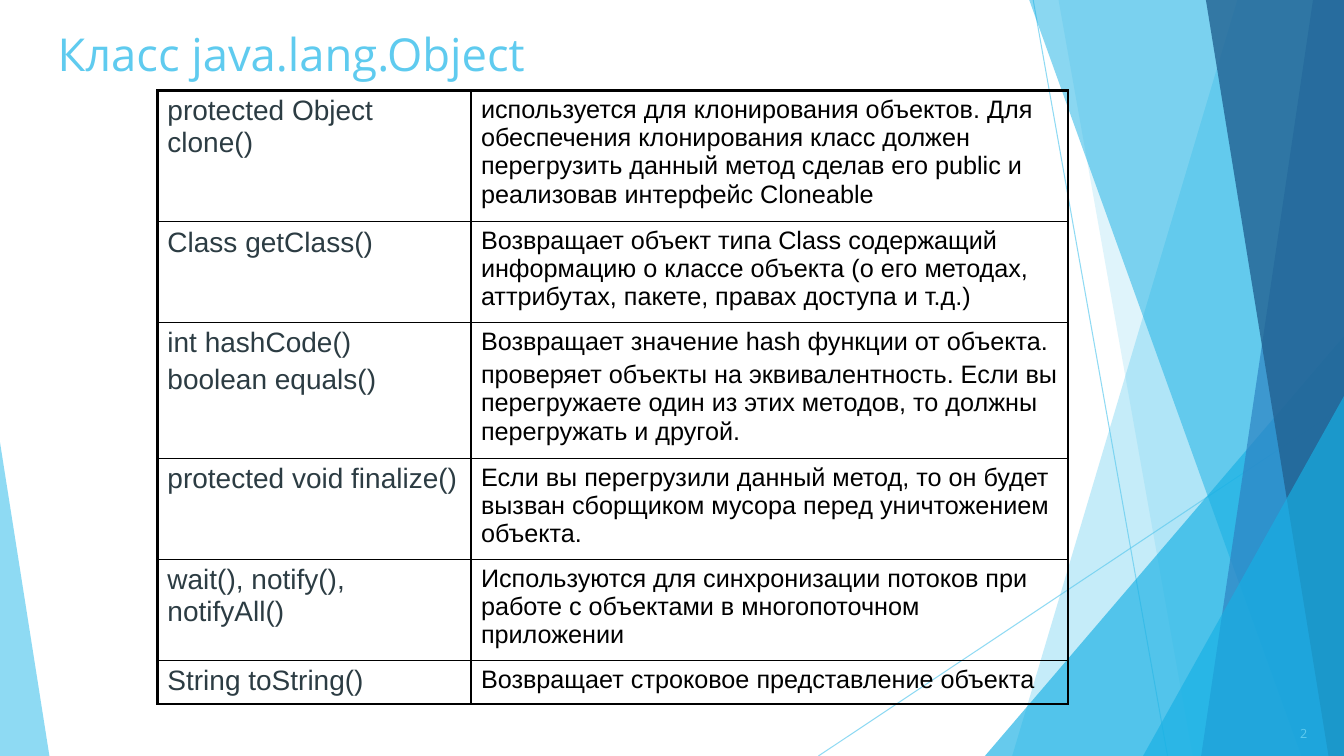
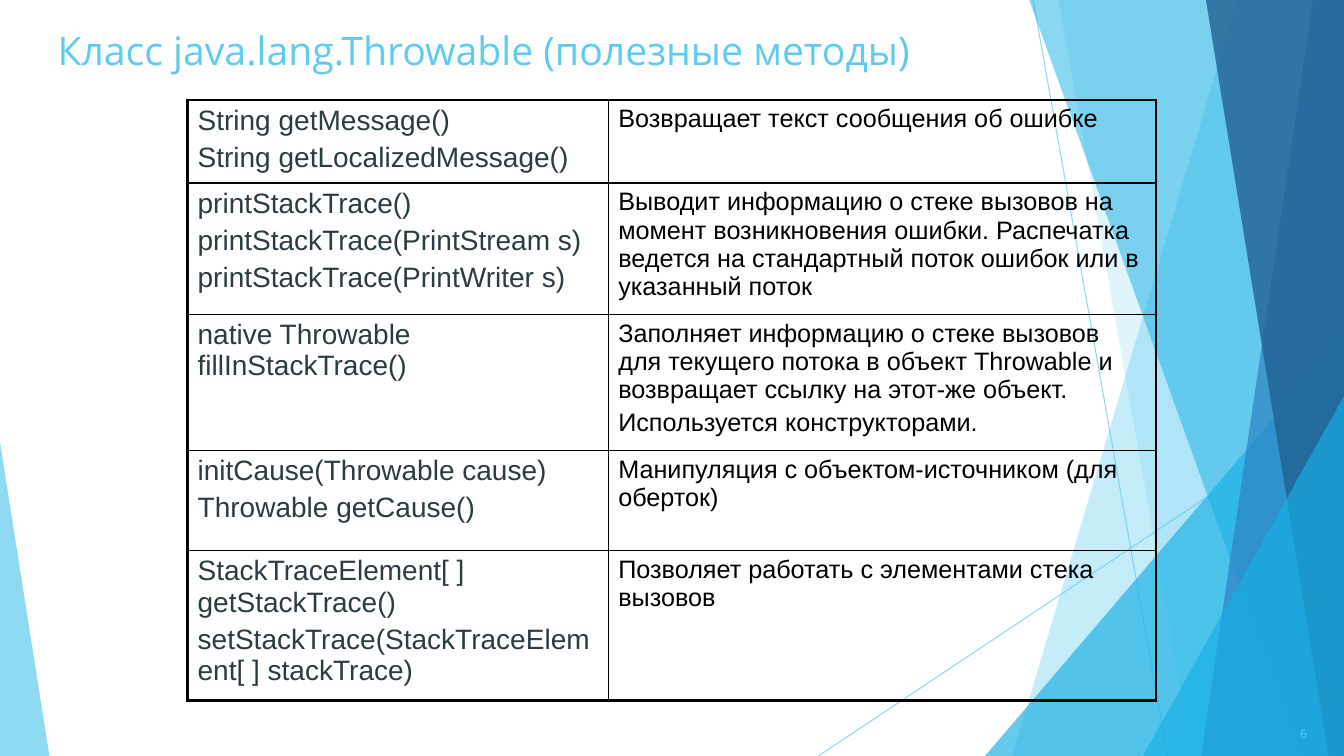
from dataclasses import dataclass

from lxml import etree
from pptx import Presentation
from pptx import util as u
from pptx.dml import color
from pptx.enum import shapes, text
from pptx.oxml import ns

Pt = u.Pt


# Theme: colours, type sizes and shared measures
@dataclass(frozen=True)
class Theme:
    sky: str = "5FCBEF"
    cyan: str = "17B0E4"
    blue: str = "2E83C3"
    navy: str = "226292"
    slate: str = "2C3C43"
    black: str = "000000"
    title_font: str = "Open Sans"
    table_font: str = "Arial"
    method_size: float = 20
    note_size: float = 18
    number_size: float = 9
    width: float = 960
    height: float = 540
    bleed: float = -0.6
    hairline: float = 0.75
    inner: float = 1
    outer: float = 2.25
    para_gap: int = 20


T = Theme()


# Descriptions of repeated elements
@dataclass(frozen=True)
class TextStyle:
    size: float
    font: str
    color: str
    align: text.PP_ALIGN = text.PP_ALIGN.LEFT
    gap: int = 0


@dataclass(frozen=True)
class Ray:
    start: tuple[float, float]
    end: tuple[float, float]


@dataclass(frozen=True)
class Blade:
    top_x: float
    bottom_x: float
    color: str
    alpha: int


@dataclass(frozen=True)
class Wedge:
    box: tuple[float, float, float, float]
    apex: float
    color: str
    alpha: int


@dataclass(frozen=True)
class Row:
    height: float
    methods: list[str]
    notes: list[str]


@dataclass(frozen=True)
class Page:
    number: str
    title: str
    title_size: float
    origin: tuple[float, float]
    columns: tuple[float, float]
    rows: list[Row]


METHOD = TextStyle(T.method_size, T.table_font, T.slate, gap=T.para_gap)
NOTE = TextStyle(T.note_size, T.table_font, T.black, gap=T.para_gap)
NUMBER = TextStyle(T.number_size, T.title_font, T.sky, text.PP_ALIGN.RIGHT)

TITLE_BOX = (34, 15, 907, 50)
NUMBER_BOX = (717, 511.5, 224, 25)

BACKDROP = [
    Ray((738, 0), (834, T.height)),
    Ray((T.width, 290), (584.6, T.height)),
    Blade(884, 723, T.sky, 36),
    Blade(756, 852, T.sky, 20),
    Wedge((703.5, 240, 256.5, 300), 1, T.cyan, 66),
    Blade(735, 929.5, T.cyan, 50),
    Blade(938, 858, T.blue, 70),
    Blade(861.3, 949, T.navy, 80),
    Wedge((816.5, 283, 143.5, 257), 1, T.cyan, 66),
    Wedge((0, 316, 35.3, 224), 0, T.sky, 70),
]

# Content
PAGES = [
    Page("2", "Класс java.lang.Object", 32.4, (112.4, 64.7), (224, 426.5), [
        Row(77, ["protected Object clone()"],
            ["используется для клонирования объектов. Для обеспечения "
             "клонирования класс должен перегрузить данный метод сделав его "
             "public и реализовав интерфейс Cloneable"]),
        Row(59, ["Class getClass()"],
            ["Возвращает объект типа Class содержащий информацию о классе "
             "объекта (о его методах, аттрибутах, пакете, правах доступа "
             "и т.д.)"]),
        Row(81, ["int hashCode()", "boolean equals()"],
            ["Возвращает значение hash функции от объекта.",
             "проверяет объекты на эквивалентность. Если вы перегружаете "
             "один из этих методов, то должны перегружать и другой."]),
        Row(59, ["protected void finalize()"],
            ["Если вы перегрузили данный метод, то он будет вызван "
             "сборщиком мусора перед уничтожением объекта."]),
        Row(53, ["wait(), notify(), notifyAll()"],
            ["Используются для синхронизации потоков при работе с "
             "объектами в многопоточном приложении"]),
        Row(30, ["String toString()"],
            ["Возвращает строковое представление объекта"]),
    ]),
    Page("6", "Класс java.lang.Throwable (полезные методы)", 28,
         (134, 71.5), (300.5, 391.3), [
        Row(51, ["String getMessage()", "String getLocalizedMessage()"],
            ["Возвращает текст сообщения об ошибке"]),
        Row(87.5, ["printStackTrace()", "printStackTrace(PrintStream s)",
                   "printStackTrace(PrintWriter s)"],
            ["Выводит информацию о стеке вызовов на момент возникновения "
             "ошибки. Распечатка ведется на стандартный поток ошибок или в "
             "указанный поток"]),
        Row(87.5, ["native Throwable fillInStackTrace()"],
            ["Заполняет информацию о стеке вызовов для текущего потока в "
             "объект Throwable и возвращает ссылку на этот-же объект.",
             "Используется конструкторами."]),
        Row(71.7, ["initCause(Throwable cause)", "Throwable getCause()"],
            ["Манипуляция с объектом-источником (для оберток)"]),
        Row(83.5, ["StackTraceElement[ ] getStackTrace()",
                   "setStackTrace(StackTraceElement[ ] stackTrace)"],
            ["Позволяет работать с элементами стека вызовов"]),
    ]),
]


# Formatting helpers
def apply(target, values: dict) -> None:
    for name, value in values.items():
        setattr(target, name, value)


def rgb(value: str) -> color.RGBColor:
    return color.RGBColor.from_string(value)


def points(values) -> list[int]:
    return [Pt(v) for v in values]


def set_alpha(element, percent: int) -> None:
    for clr in element.spPr.iter(ns.qn("a:srgbClr")):
        etree.SubElement(clr, ns.qn("a:alpha"), val=str(percent * 1000))


def set_gap(p, percent: int) -> None:
    """Space before as a share of the type size."""
    before = etree.SubElement(p._p.get_or_add_pPr(), ns.qn("a:spcBef"))
    etree.SubElement(before, ns.qn("a:spcPct"), val=str(percent * 1000))


def write(tf, lines: list[str], style: TextStyle) -> None:
    for i, line in enumerate(lines):
        p = tf.paragraphs[0] if i == 0 else tf.add_paragraph()
        p.alignment = style.align
        set_gap(p, style.gap)
        r = p.add_run()
        r.text = line
        apply(r.font, {"size": Pt(style.size), "name": style.font})
        r.font.color.rgb = rgb(style.color)


# Backdrop parts
def draw_ray(group, ray: Ray) -> None:
    line = group.shapes.add_connector(
        shapes.MSO_CONNECTOR.STRAIGHT, *points(ray.start + ray.end))
    line.line.width = Pt(T.hairline)
    line.line.color.rgb = rgb(T.sky)
    set_alpha(line.element, 70)
    etree.SubElement(line.element.spPr, ns.qn("a:effectLst"))


def paint(sp, fill: str, alpha: int) -> None:
    sp.shadow.inherit = False
    sp.fill.solid()
    sp.fill.fore_color.rgb = rgb(fill)
    sp.line.fill.background()
    set_alpha(sp.element, alpha)


def draw_blade(group, blade: Blade) -> None:
    outline = group.shapes.build_freeform(*points((blade.top_x, T.bleed)))
    corners = [(T.width, T.bleed), (T.width, T.height),
               (blade.bottom_x, T.height)]
    outline.add_line_segments([points(c) for c in corners], close=True)
    paint(outline.convert_to_shape(), blade.color, blade.alpha)


def draw_wedge(group, wedge: Wedge) -> None:
    sp = group.shapes.add_shape(
        shapes.MSO_SHAPE.ISOSCELES_TRIANGLE, *points(wedge.box))
    sp.adjustments[0] = wedge.apex
    paint(sp, wedge.color, wedge.alpha)


DRAW = {Ray: draw_ray, Blade: draw_blade, Wedge: draw_wedge}


def set_up_layout(layout, s) -> None:
    """Group the backdrop on a slide, then hand it to the shared layout."""
    group = s.shapes.add_group_shape()
    for part in BACKDROP:
        DRAW[type(part)](group, part)
    layout.shapes.element.append(group.element)
    title = layout.placeholders[0]
    apply(title, dict(zip(("left", "top", "width", "height"),
                          points(TITLE_BOX))))
    apply(title.text_frame, {"vertical_anchor": text.MSO_ANCHOR.TOP,
                             "auto_size": text.MSO_AUTO_SIZE.NONE})


# Slide parts
def set_borders(cell, outer_sides: dict[str, bool]) -> None:
    tc_pr = cell._tc.get_or_add_tcPr()
    for i, (side, is_outer) in enumerate(outer_sides.items()):
        width = Pt(T.outer if is_outer else T.inner)
        ln = etree.Element(ns.qn(f"a:ln{side}"), w=str(width))
        fill = etree.SubElement(ln, ns.qn("a:solidFill"))
        etree.SubElement(fill, ns.qn("a:srgbClr"), val=T.black)
        tc_pr.insert(i, ln)


def add_methods_table(s, page: Page) -> None:
    heights = [row.height for row in page.rows]
    frame = s.shapes.add_table(
        len(page.rows), len(page.columns),
        *points((*page.origin, sum(page.columns), sum(heights))))
    table = frame.table
    apply(table, {"first_row": False, "horz_banding": False})
    for column, width in zip(table.columns, page.columns):
        column.width = Pt(width)
    last = len(page.rows) - 1
    for i, row in enumerate(page.rows):
        table.rows[i].height = Pt(row.height)
        for j, (lines, style) in enumerate(((row.methods, METHOD),
                                            (row.notes, NOTE))):
            cell = table.cell(i, j)
            cell.fill.background()
            write(cell.text_frame, lines, style)
            set_borders(cell, {"L": j == 0, "R": j == 1,
                               "T": i == 0, "B": i == last})


def add_number(s, number: str) -> None:
    tf = s.shapes.add_textbox(*points(NUMBER_BOX)).text_frame
    apply(tf, {"word_wrap": True, "vertical_anchor": text.MSO_ANCHOR.MIDDLE})
    write(tf, [number], NUMBER)


# Build the deck
prs = Presentation()
apply(prs, {"slide_width": Pt(T.width), "slide_height": Pt(T.height)})
layout = prs.slide_layouts[5]
for index, page in enumerate(PAGES):
    s = prs.slides.add_slide(layout)
    if index == 0:
        set_up_layout(layout, s)
    add_number(s, page.number)
    write(s.shapes.title.text_frame, [page.title],
          TextStyle(page.title_size, T.title_font, T.sky))
    add_methods_table(s, page)
prs.save("out.pptx")
